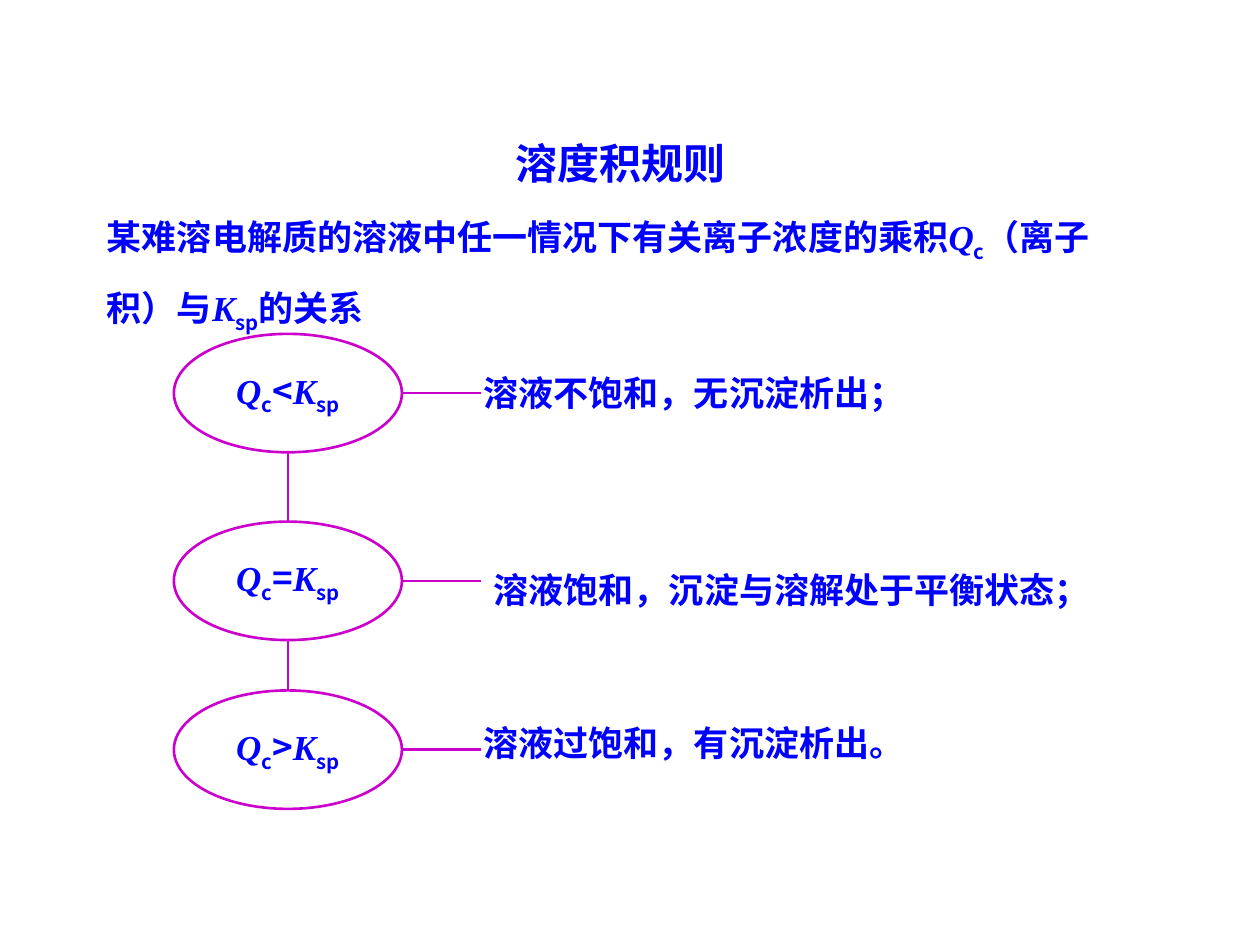
from dataclasses import dataclass

from pptx import Presentation
from pptx import util as u
from pptx.dml import color
from pptx.enum import shapes, text
from pptx.oxml import ns
from pptx.slide import Slide
from lxml import etree

QC = [("Q", "symbol"), ("c", "sub")]
KSP = [("K", "symbol"), ("sp", "sub")]


def rgb(value):
    """Turn a hex string into a colour."""
    return color.RGBColor.from_string(value)


def write(frame, parts, size, ink, fonts, align=text.PP_ALIGN.LEFT, spacing=1.0):
    """Fill the frame's first paragraph with (text, role) parts."""
    paragraph = frame.paragraphs[0]
    paragraph.alignment = align
    paragraph.line_spacing = spacing
    for words, role in parts:
        run = paragraph.add_run()
        run.text = words
        symbol = role == "symbol"
        run.font.size = u.Pt(size)
        run.font.bold = True
        run.font.italic = symbol
        run.font.color.rgb = rgb(ink)
        run.font.name = fonts["symbol" if symbol else "plain"]
        properties = run.font._element
        east_asian = etree.SubElement(properties, ns.qn("a:ea"))
        east_asian.set("typeface", fonts["plain"])
        if role == "sub":
            properties.set("baseline", "-25000")


@dataclass
class Board:
    """Hold the style and the current slide."""

    slide: Slide
    ink: str = "0000FF"
    accent: str = "CC00CC"
    plain: str = "Noto Sans CJK SC"
    symbol: str = "Times New Roman"
    weight: float = 1.5

    def fill_text(self, frame, parts, size=20, **layout):
        """Write text in the board's style."""
        fonts = {"plain": self.plain, "symbol": self.symbol}
        write(frame, parts, size, self.ink, fonts, **layout)

    def title(self, words, left, top, width, height):
        """Place and format the title."""
        heading = self.slide.shapes.title
        heading.left, heading.top = u.Inches(left), u.Inches(top)
        heading.width, heading.height = u.Inches(width), u.Inches(height)
        frame = heading.text_frame
        frame.vertical_anchor = text.MSO_ANCHOR.TOP
        frame.auto_size = text.MSO_AUTO_SIZE.NONE
        self.fill_text(frame, [(words, "plain")], size=24,
                       align=text.PP_ALIGN.CENTER, spacing=1.5)

    def note(self, parts, left, top, width, height):
        """Add a wrapped text box."""
        frame = self.slide.shapes.add_textbox(
            *map(u.Inches, (left, top, width, height))).text_frame
        frame.word_wrap = True
        frame.auto_size = text.MSO_AUTO_SIZE.SHAPE_TO_FIT_TEXT
        self.fill_text(frame, parts, spacing=1.5)

    def oval(self, parts, left, top, width, height):
        """Add an outlined ellipse with a centred formula."""
        condition = self.slide.shapes.add_shape(
            shapes.MSO_SHAPE.OVAL, *map(u.Inches, (left, top, width, height)))
        condition.shadow.inherit = False
        condition.fill.background()
        condition.line.color.rgb = rgb(self.accent)
        condition.line.width = u.Pt(self.weight)
        frame = condition.text_frame
        frame.word_wrap = False
        frame.vertical_anchor = text.MSO_ANCHOR.MIDDLE
        self.fill_text(frame, parts, align=text.PP_ALIGN.CENTER)

    def link(self, x1, y1, x2, y2):
        """Add a straight line."""
        line = self.slide.shapes.add_connector(
            shapes.MSO_CONNECTOR.STRAIGHT, *map(u.Inches, (x1, y1, x2, y2)))
        line.line.color.rgb = rgb(self.accent)
        line.line.width = u.Pt(self.weight)
        etree.SubElement(line._element.spPr, ns.qn("a:effectLst"))


def main():
    """Build the slide and save it."""
    deck = Presentation()
    deck.slide_width, deck.slide_height = u.Inches(10), u.Inches(7.5)
    board = Board(deck.slides.add_slide(deck.slide_layouts[5]))

    board.title("溶度积规则", 0.75, 0.84, 8.35, 0.63)
    definition = [("某难溶电解质的溶液中任一情况下有关离子浓度的乘积", "plain"), *QC,
                  ("（离子积）与", "plain"), *KSP, ("的关系", "plain")]
    board.note(definition, 0.75, 1.47, 8.35, 1.21)

    left, width, height, reach = 1.38, 1.81, 0.94, 0.63
    right, middle = left + width, left + width / 2
    cases = [
        ("<", 2.65, "溶液不饱和，无沉淀析出；", (3.74, 2.73, 4.88, 0.6)),
        ("=", 4.14, "溶液饱和，沉淀与溶解处于平衡状态；", (3.82, 4.3, 5.59, 0.6)),
        (">", 5.48, "溶液过饱和，有沉淀析出。", (3.74, 5.51, 5.59, 0.6)),
    ]
    for sign, top, outcome, place in cases:
        center = top + height / 2
        board.oval([*QC, (sign, "plain"), *KSP], left, top, width, height)
        board.link(right, center, right + reach, center)
        board.note([(outcome, "plain")], *place)
    for upper, lower in zip(cases, cases[1:]):
        board.link(middle, upper[1] + height, middle, lower[1])

    deck.save("out.pptx")


if __name__ == "__main__":
    main()
